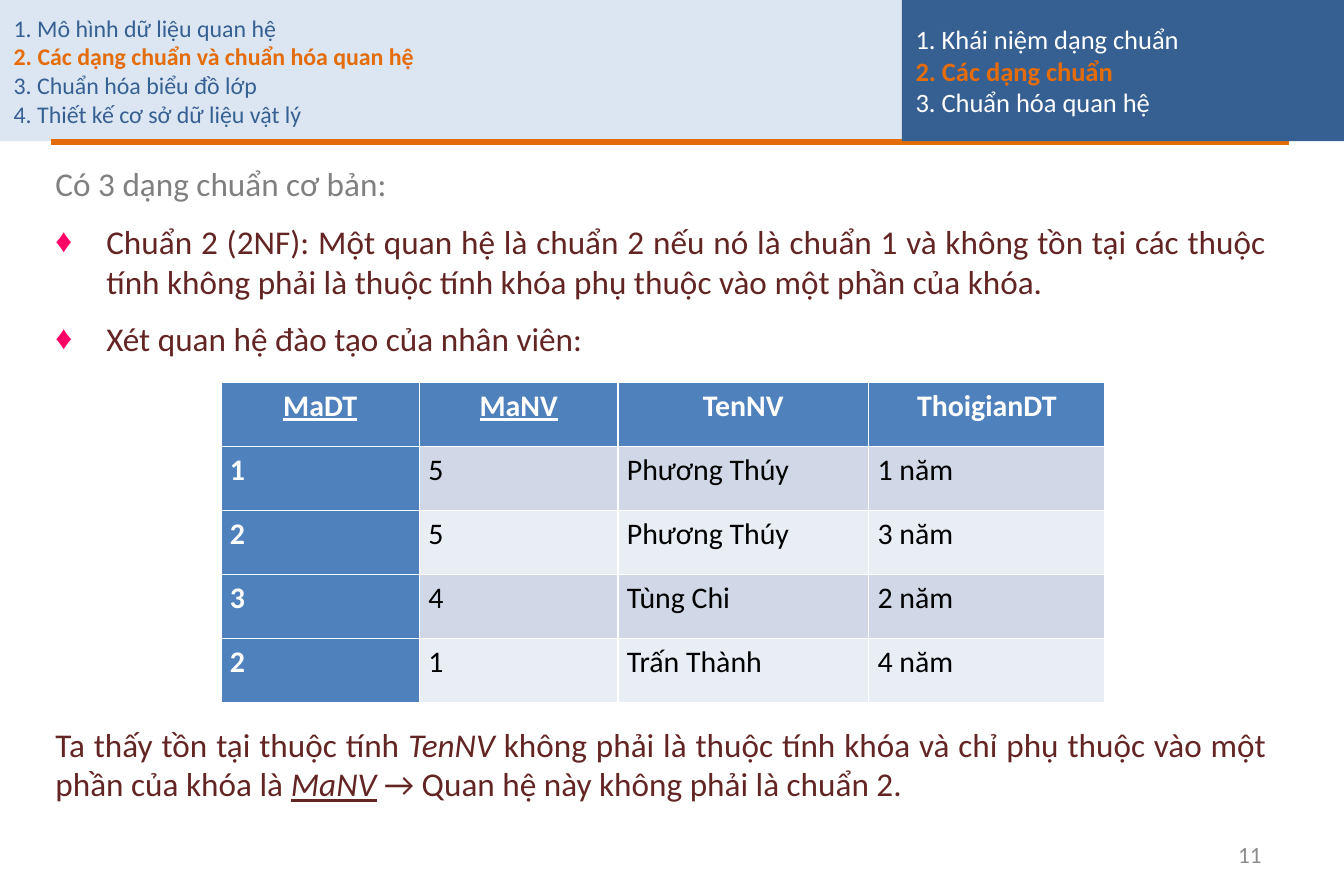
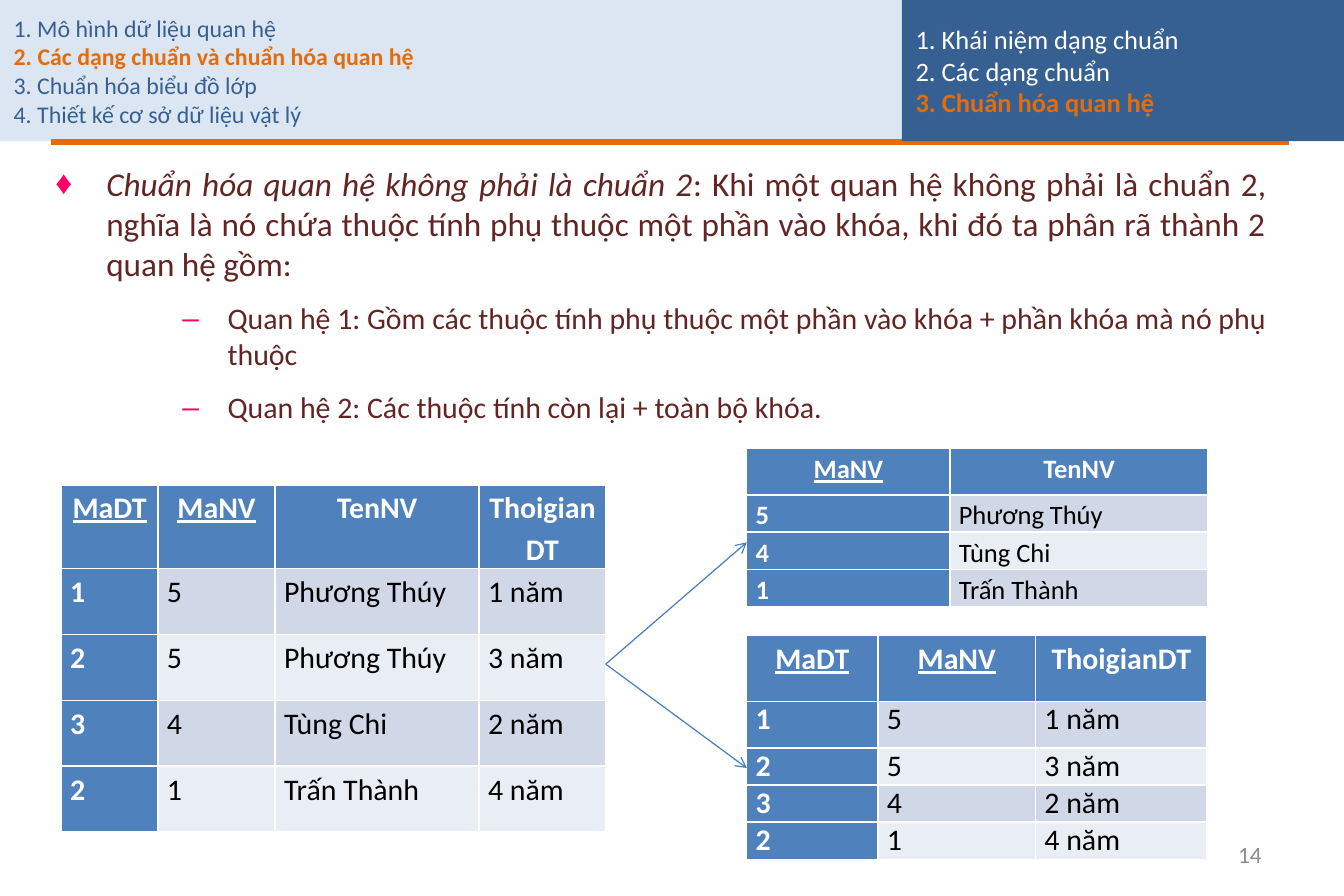
from lxml import etree
from pptx import Presentation
from pptx.dml.color import RGBColor
from pptx.enum.shapes import MSO_CONNECTOR, MSO_SHAPE
from pptx.enum.text import MSO_ANCHOR, MSO_AUTO_SIZE, PP_ALIGN
from pptx.oxml.ns import qn
from pptx.util import Cm, Pt

LEFT, CENTER = PP_ALIGN.LEFT, PP_ALIGN.CENTER
RIGHT, JUSTIFY = PP_ALIGN.RIGHT, PP_ALIGN.JUSTIFY
TOP, MIDDLE = MSO_ANCHOR.TOP, MSO_ANCHOR.MIDDLE
FIXED = MSO_AUTO_SIZE.NONE
STRAIGHT, RECTANGLE = MSO_CONNECTOR.STRAIGHT, MSO_SHAPE.RECTANGLE

FONT = "Calibri"
COLORS = {
    "pale": "DCE6F2", "navy": "376092", "orange": "E46C0A", "white": "FFFFFF",
    "black": "000000", "gray": "808080", "number": "8C8C8C", "maroon": "632523",
    "bullet": "FF0066", "header": "4F81BD", "odd_row": "D0D8E8",
    "even_row": "E9EDF4", "arrow": "4B7EBC",
}

# Content
CHAPTERS = [
    "1. Mô hình dữ liệu quan hệ",
    "2. Các dạng chuẩn và chuẩn hóa quan hệ",
    "3. Chuẩn hóa biểu đồ lớp",
    "4. Thiết kế cơ sở dữ liệu vật lý",
]
CURRENT_CHAPTER = 1
SECTIONS = ["1. Khái niệm dạng chuẩn", "2. Các dạng chuẩn", "3. Chuẩn hóa quan hệ"]

KEYS = {"MaDT", "MaNV"}
FIELDS = ["MaDT", "MaNV", "TenNV", "ThoigianDT"]
TRAINING = [
    ("1", "5", "Phương Thúy", "1 năm"),
    ("2", "5", "Phương Thúy", "3 năm"),
    ("3", "4", "Tùng Chi", "2 năm"),
    ("2", "1", "Trấn Thành", "4 năm"),
]

# Paragraph kinds: level, indent and hanging in cm, bullet, size, colour
KINDS = {
    "lead": (1, 0, 0, None, 20, "gray"),
    "plain": (1, 0, 0, None, 20, "maroon"),
    "point": (1, 1.08, 1.08, "♦", 20, "maroon"),
    "detail": (3, 3.66, 0.96, "–", 18, "maroon"),
}
ITALIC = {"italic": True}
ITALIC_KEY = {"italic": True, "underline": True}

# Each paragraph: kind, then runs of (text, format)
SECOND_FORM = [
    ("lead", [("Có 3 dạng chuẩn cơ bản:", {})]),
    ("point", [("Chuẩn 2 (2NF): Một quan hệ là chuẩn 2 nếu nó là chuẩn 1 và không tồn "
                "tại các thuộc tính không phải là thuộc tính khóa phụ thuộc vào một "
                "phần của khóa.", {})]),
    ("point", [("Xét quan hệ đào tạo của nhân viên:", {})]),
]
CONCLUSION = [
    ("plain", [("Ta thấy tồn tại thuộc tính ", {}), ("TenNV", ITALIC),
               (" không phải là thuộc tính khóa và chỉ phụ thuộc vào một phần của "
                "khóa là ", {}),
               ("MaNV", ITALIC_KEY), (" → Quan hệ này không phải là chuẩn 2.", {})]),
]
DECOMPOSITION = [
    ("point", [("Chuẩn hóa quan hệ không phải là chuẩn 2", ITALIC),
               (": Khi một quan hệ không phải là chuẩn 2, nghĩa là nó chứa thuộc tính "
                "phụ thuộc một phần vào khóa, khi đó ta phân rã thành 2 quan hệ gồm:", {})]),
    ("detail", [("Quan hệ 1: Gồm các thuộc tính phụ thuộc một phần vào khóa + phần "
                 "khóa mà nó phụ thuộc", {})]),
    ("detail", [("Quan hệ 2: Các thuộc tính còn lại + toàn bộ khóa.", {})]),
]

# Slides; all lengths in cm
BODY_LEFT, BODY_TOP, BODY_WIDTH = 0.89, 3.33, 26.34
SPLIT = (12.88, 14.12)
SLIDES = [
    {
        "number": "11", "section": 1, "body": SECOND_FORM, "body_height": 4.7,
        "conclusion": CONCLUSION, "conclusion_top": 15.25,
        "tables": [
            {"fields": FIELDS, "at": (4.7, 8.13), "size": 18, "spacing": 1.15,
             "widths": [4.22, 4.22, 5.33, 5.03], "heights": [1.36] * 5},
        ],
        "arrow_ends": [],
    },
    {
        "number": "14", "section": 2, "body": DECOMPOSITION, "body_height": 6.1,
        "conclusion": [], "conclusion_top": 0,
        "tables": [
            {"fields": FIELDS, "at": (1.3, 10.31), "size": 18, "spacing": 1.15,
             "widths": [2.06, 2.49, 4.34, 2.69], "heights": [1.7] + [1.4] * 4},
            {"fields": ["MaNV", "TenNV"], "at": (15.88, 9.53), "size": 16,
             "spacing": 1.15, "widths": [4.32, 5.49], "heights": [0.99] + [0.79] * 3},
            {"fields": ["MaDT", "MaNV", "ThoigianDT"], "at": (15.88, 13.51), "size": 18,
             "spacing": 1, "widths": [2.79, 3.35, 3.65],
             "heights": [1.4, 0.99] + [0.79] * 3},
        ],
        "arrow_ends": [(15.88, 11.53), (15.88, 16.33)],
    },
]


def color(name):
    return RGBColor.from_string(COLORS[name])


def place(shape, left, top, width, height):
    shape.left, shape.top = Cm(left), Cm(top)
    shape.width, shape.height = Cm(width), Cm(height)


def set_format(target, values):
    for name, value in values.items():
        setattr(target, name, value)


def set_frame(shape, anchor):
    set_format(shape.text_frame, {
        "word_wrap": True, "auto_size": FIXED, "vertical_anchor": anchor,
        "margin_left": Cm(0.29), "margin_right": Cm(0.29),
        "margin_top": Cm(0.14), "margin_bottom": Cm(0.14),
    })
    return shape.text_frame


def add_span(para, text, size, color_name, **values):
    span = para.add_run()
    span.text = text
    set_format(span.font, {"name": FONT, "size": Pt(size), **values})
    span.font.color.rgb = color(color_name)


def paragraphs(frame, items):
    """Yield one paragraph per item, using the first one already there."""
    for index, item in enumerate(items):
        yield index, frame.paragraphs[0] if index == 0 else frame.add_paragraph(), item


def set_bullet(para, indent, hanging, character):
    props = para._p.get_or_add_pPr()
    props.set("marL", str(Cm(indent)))
    props.set("indent", str(-Cm(hanging)))
    if character is None:
        etree.SubElement(props, qn("a:buNone"))
        return
    fill = etree.SubElement(props, qn("a:buClr"))
    etree.SubElement(fill, qn("a:srgbClr"), val=COLORS["bullet"])
    etree.SubElement(props, qn("a:buChar"), char=character)


def write_body(shape, items):
    frame = set_frame(shape, TOP)
    for index, para, (kind, spans) in paragraphs(frame, items):
        level, indent, hanging, character, size, color_name = KINDS[kind]
        set_bullet(para, indent, hanging, character)
        set_format(para, {
            "level": level, "alignment": JUSTIFY, "space_after": Pt(6.8),
            "space_before": Pt(size * 0.2 if index else 0),
        })
        for text, values in spans:
            add_span(para, text, size, color_name, **values)


def add_line(page, start, end, color_name, width):
    line = page.shapes.add_connector(STRAIGHT, *map(Cm, start + end))
    line.line.color.rgb = color(color_name)
    line.line.width = Pt(width)
    etree.SubElement(line._element.spPr, qn("a:effectLst"))
    return line


def add_arrow(page, start, end):
    arrow = add_line(page, start, end, "arrow", 0.75)
    etree.SubElement(arrow.line._get_or_add_ln(), qn("a:tailEnd"), type="arrow")


def add_frame(page, deck_part):
    """Chapter title, rule, page number and section panel."""
    title = page.shapes.title
    place(title, 0, 0, 20, 3)
    title.fill.solid()
    title.fill.fore_color.rgb = color("pale")
    para = set_frame(title, MIDDLE).paragraphs[0]
    para.alignment = LEFT
    for index, chapter in enumerate(CHAPTERS):
        if index:
            para.add_line_break()
        current = index == CURRENT_CHAPTER
        add_span(para, chapter, 14.4, "orange" if current else "navy", bold=current)

    add_line(page, (1.09, 3.02), (27.41, 3.02), "orange", 4)

    box = page.shapes.add_textbox(Cm(20.47), Cm(17.65), Cm(6.65), Cm(1.02))
    para = set_frame(box, MIDDLE).paragraphs[0]
    para.alignment = RIGHT
    add_span(para, deck_part["number"], 14, "number")

    panel = page.shapes.add_shape(RECTANGLE, Cm(19.18), 0, Cm(9.4), Cm(3))
    panel.shadow.inherit = False
    panel.fill.solid()
    panel.fill.fore_color.rgb = color("navy")
    panel.line.fill.background()
    for index, para, section in paragraphs(set_frame(panel, MIDDLE), SECTIONS):
        para.alignment = LEFT
        current = index == deck_part["section"]
        add_span(para, section, 16, "orange" if current else "white", bold=current)


def project(fields):
    """Header plus the distinct training rows cut down to the given fields."""
    columns = [FIELDS.index(field) for field in fields]
    rows = [tuple(row[column] for column in columns) for row in TRAINING]
    return [tuple(fields)] + list(dict.fromkeys(rows))


def add_relation(page, relation):
    rows = project(relation["fields"])
    widths, heights = relation["widths"], relation["heights"]
    lengths = relation["at"] + (sum(widths), sum(heights))
    table = page.shapes.add_table(len(rows), len(widths), *map(Cm, lengths)).table
    table.first_col = True
    for column, width in zip(table.columns, widths):
        column.width = Cm(width)
    for row, height in zip(table.rows, heights):
        row.height = Cm(height)

    for row_index, row in enumerate(rows):
        for column_index, text in enumerate(row):
            cell = table.cell(row_index, column_index)
            set_format(cell, {"margin_left": Cm(0.19), "margin_right": Cm(0.19),
                              "margin_top": 0, "margin_bottom": 0})
            is_header = row_index == 0
            strong = is_header or column_index == 0
            stripe = "odd_row" if row_index % 2 else "even_row"
            cell.fill.solid()
            cell.fill.fore_color.rgb = color("header" if strong else stripe)
            para = cell.text_frame.paragraphs[0]
            set_format(para, {
                "alignment": CENTER if is_header else LEFT, "space_after": Pt(6),
                "line_spacing": 1.15 if is_header else relation["spacing"],
            })
            add_span(para, text, relation["size"], "white" if strong else "black",
                     bold=strong, underline=is_header and text in KEYS)


def main():
    deck = Presentation()
    deck.slide_width, deck.slide_height = Cm(28.58), Cm(19.05)
    for content in SLIDES:
        page = deck.slides.add_slide(deck.slide_layouts[1])
        body = page.placeholders[1]
        place(body, BODY_LEFT, BODY_TOP, BODY_WIDTH, content["body_height"])
        write_body(body, content["body"])
        add_frame(page, content)
        if content["conclusion"]:
            box = page.shapes.add_textbox(Cm(BODY_LEFT), Cm(content["conclusion_top"]),
                                          Cm(BODY_WIDTH), Cm(2.2))
            write_body(box, content["conclusion"])
        for relation in content["tables"]:
            add_relation(page, relation)
        for end in content["arrow_ends"]:
            add_arrow(page, SPLIT, end)
    deck.save("out.pptx")


if __name__ == "__main__":
    main()
